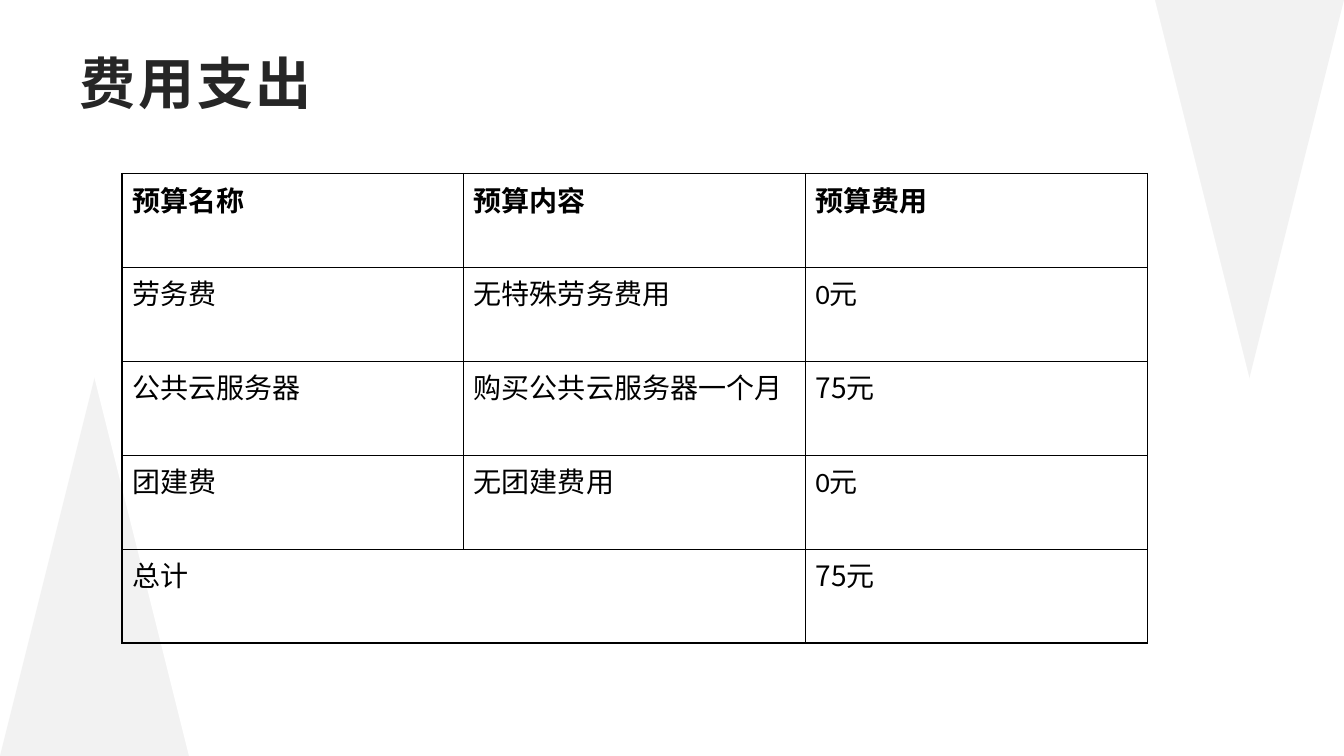
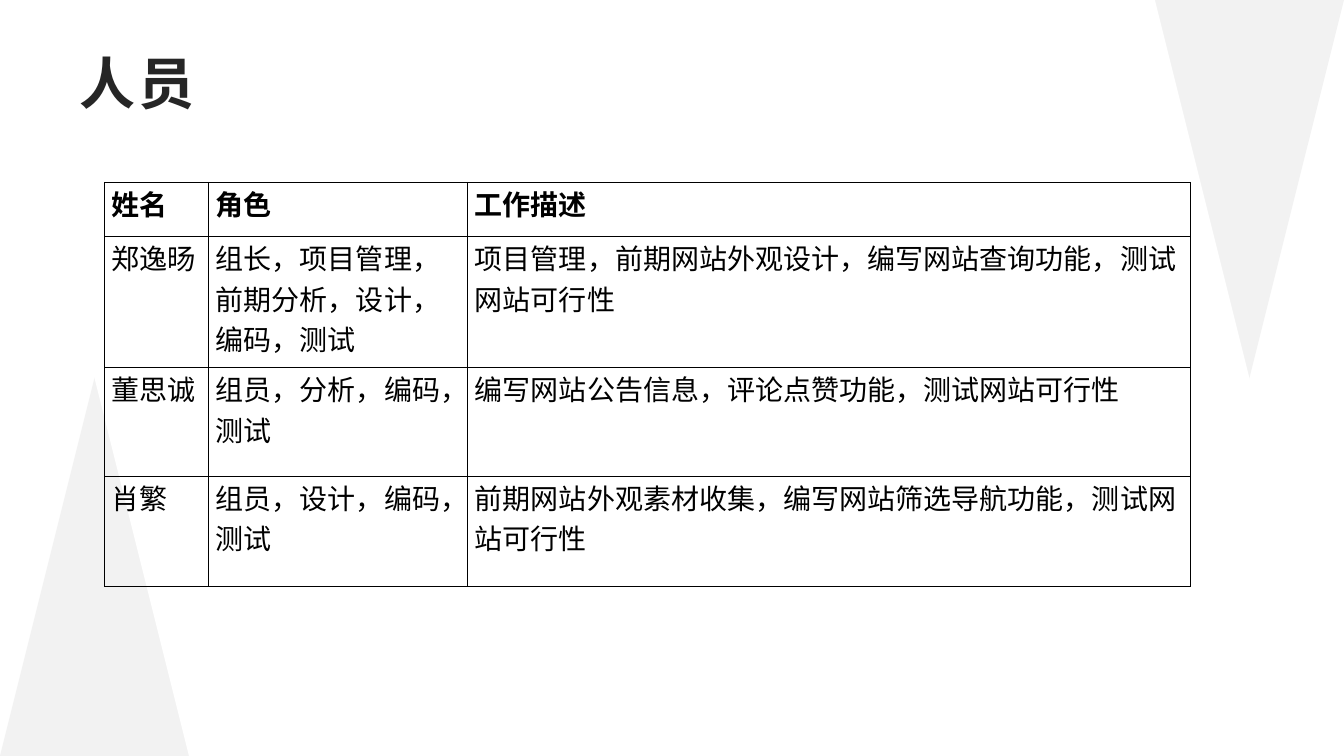
from lxml.etree import SubElement
from pptx import Presentation
from pptx.dml.color import RGBColor
from pptx.enum.shapes import MSO_SHAPE as Shape
from pptx.enum.text import MSO_ANCHOR as Anchor
from pptx.oxml import parse_xml
from pptx.oxml.ns import nsdecls, qn
from pptx.util import Inches, Pt

COLORS = {"band": "F2F2F2", "page": "FFFFFF", "title": "262626",
          "text": "000000", "border": "000000"}
NOTO = "Noto Sans CJK SC"
CALIBRI = "Calibri"
SLIDE_W, SLIDE_H = 13.33, 7.5
PAGE_BOX = (0, 0, SLIDE_W, SLIDE_H)
TITLE_BOX = (0.68, 0.44, 11.97, 0.94)

BUDGET = [
    [(("预算名称", CALIBRI),), (("预算内容", CALIBRI),), (("预算费用", CALIBRI),)],
    [(("劳务费", CALIBRI),), (("无", CALIBRI), ("特殊劳务费用", NOTO)), (("0元", CALIBRI),)],
    ["公共云服务器", "购买公共云服务器一个月", (("75", NOTO), ("元", CALIBRI))],
    ["团建费", "无团建费用", (("0元", CALIBRI),)],
    [(("总计", CALIBRI),), "", (("75", NOTO), ("元", CALIBRI))],
]
STAFF = [
    ["姓名", "角色", "工作描述"],
    ["郑逸旸", "组长，项目管理，前期分析，设计，编码，测试",
     "项目管理，前期网站外观设计，编写网站查询功能，测试网站可行性"],
    ["董思诚", "组员，分析，编码，测试", "编写网站公告信息，评论点赞功能，测试网站可行性"],
    ["肖繁", "组员，设计，编码，测试",
     "前期网站外观素材收集，编写网站筛选导航功能，测试网站可行性"],
]


def rgb(key):
    """Return the named colour."""
    return RGBColor.from_string(COLORS[key])


def style_run(run, size, color, bold, latin=NOTO):
    """Set the Latin and East Asian fonts, size, colour and weight of a run."""
    run.font.size = Pt(size)
    run.font.bold = bold
    run.font.color.rgb = rgb(color)
    run.font.name = latin
    SubElement(run.font._element, qn("a:ea")).set("typeface", NOTO)


def add_band(slide, box, color, mirrored):
    """Place one slanted band over the box."""
    band = slide.shapes.add_shape(Shape.PARALLELOGRAM, *map(Inches, box))
    band.shadow.inherit = False
    band.fill.solid()
    band.fill.fore_color.rgb = rgb(color)
    band.line.fill.background()
    if mirrored:
        band._element.spPr.xfrm.set("flipH", "1")


def add_title(slide, box, title):
    """Write the slide title in its box."""
    frame = slide.shapes.add_textbox(*map(Inches, box)).text_frame
    frame.word_wrap = True
    frame.vertical_anchor = Anchor.TOP
    frame.margin_left, frame.margin_right = Inches(0.11), Inches(0.08)
    frame.margin_top = frame.margin_bottom = Inches(0.04)
    frame.text = title
    run = frame.paragraphs[0].runs[0]
    style_run(run, 40, "title", True)
    run.font._element.set("spc", "200")


def add_borders(cell):
    """Draw a thin line on all four sides of a cell."""
    properties = cell._tc.get_or_add_tcPr()
    for position, side in enumerate(("lnL", "lnR", "lnT", "lnB")):
        properties.insert(position, parse_xml(
            f'<a:{side} {nsdecls("a")} w="{Pt(1)}"><a:solidFill>'
            f'<a:srgbClr val="{COLORS["border"]}"/></a:solidFill></a:{side}>'))


def fill_cell(cell, content, bold, margins):
    """Write a plain string or (text, font) runs into a bordered cell."""
    cell.margin_left = cell.margin_right = Inches(margins[0])
    cell.margin_top = cell.margin_bottom = Inches(margins[1])
    cell.fill.background()
    add_borders(cell)
    pieces = ((content, NOTO),) if isinstance(content, str) else content
    for text, latin in pieces:
        if text:
            run = cell.text_frame.paragraphs[0].add_run()
            run.text = text
            style_run(run, 20, "text", bold, latin)


def add_grid(slide, origin, widths, heights, rows, margins):
    """Build a bordered table with a bold heading row."""
    left, top = origin
    grid = slide.shapes.add_table(len(rows), len(widths), Inches(left), Inches(top),
                                  Inches(sum(widths)), Inches(sum(heights))).table
    grid.first_row = grid.horz_banding = False
    for column, width in zip(grid.columns, widths):
        column.width = Inches(width)
    for r, (row, height) in enumerate(zip(rows, heights)):
        grid.rows[r].height = Inches(height)
        for c, content in enumerate(row):
            fill_cell(grid.cell(r, c), content, r == 0, margins)
    return grid


def add_base(deck, title):
    """Add a slide with the shared crossing bands and title."""
    slide = deck.slides.add_slide(deck.slide_layouts[6])
    add_band(slide, PAGE_BOX, "band", False)
    add_band(slide, PAGE_BOX, "page", True)
    add_title(slide, TITLE_BOX, title)
    return slide


def add_budget_slide(deck):
    """Build the expenses slide, with a merged total row."""
    slide = add_base(deck, "费用支出")
    grid = add_grid(slide, (1.21, 1.72), [3.39] * 3, [4.66 / 5] * 5, BUDGET, (0.1, 0.05))
    grid.cell(4, 0).merge(grid.cell(4, 1))


def add_staff_slide(deck):
    """Build the slide of people and roles."""
    slide = add_base(deck, "人员")
    add_grid(slide, (1.04, 1.81), [1.03, 2.57, 7.17], [0.54, 1.3, 1.08, 1.09],
             STAFF, (0.07, 0))


def main():
    """Create and save the deck."""
    deck = Presentation()
    deck.slide_width, deck.slide_height = Inches(SLIDE_W), Inches(SLIDE_H)
    add_budget_slide(deck)
    add_staff_slide(deck)
    deck.save("out.pptx")


if __name__ == "__main__":
    main()
